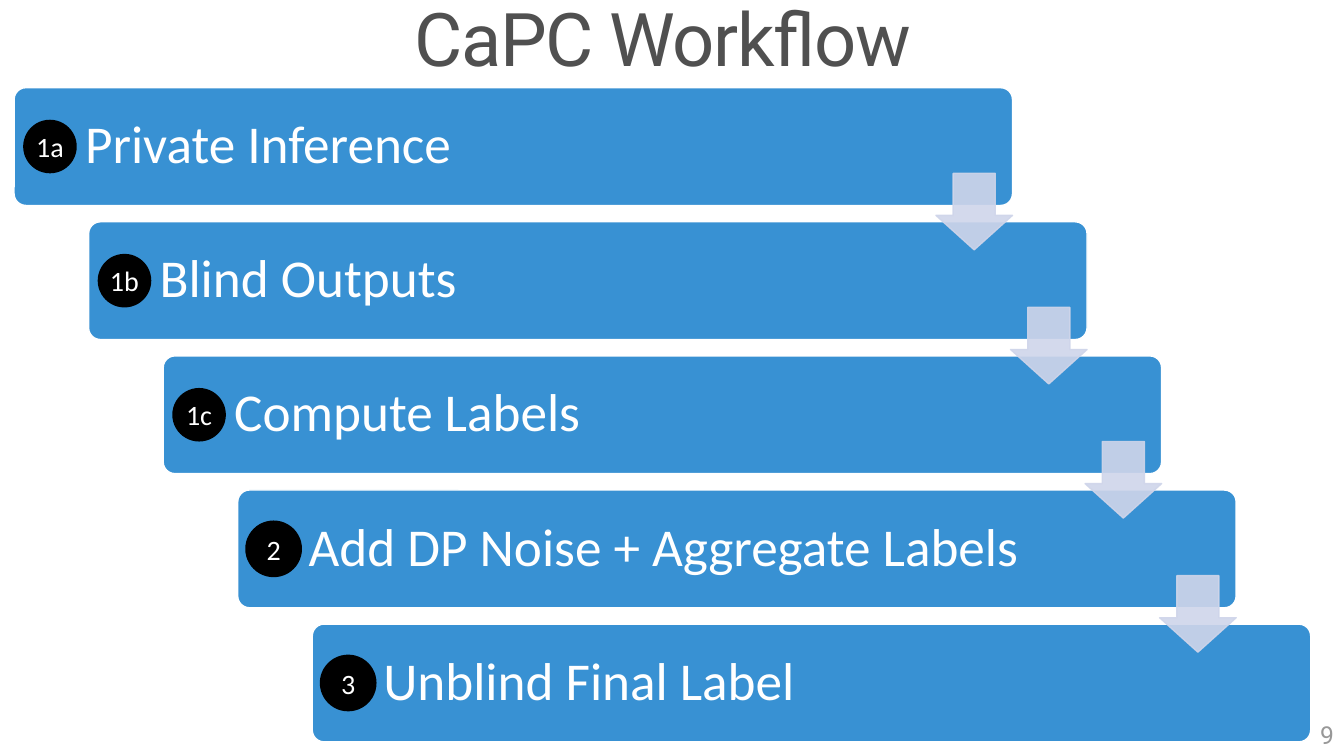
import pptx
import pptx.util
import pptx.dml.color
import pptx.enum.shapes
import pptx.enum.text
import lxml.etree

Inches = pptx.util.Inches
Pt = pptx.util.Pt
Color = pptx.dml.color.RGBColor
Shape = pptx.enum.shapes.MSO_SHAPE
Align = pptx.enum.text.PP_ALIGN
Anchor = pptx.enum.text.MSO_ANCHOR

BLUE = Color(0x38, 0x91, 0xD3)
PALE = Color(0xCF, 0xD5, 0xEA)
WHITE = Color(0xFF, 0xFF, 0xFF)
BLACK = Color(0, 0, 0)
DARK = Color(0x50, 0x50, 0x50)
GREY = Color(0x98, 0x98, 0x98)

WIDE, HIGH = 13.33, 7.5
STEPS = [
    ("1a", "Private Inference"),
    ("1b", "Blind Outputs"),
    ("1c", "Compute Labels"),
    ("2", "Add DP Noise + Aggregate Labels"),
    ("3", "Unblind Final Label"),
]


def write(frame, text, font, size, color, align, anchor):
    frame.text = text
    frame.vertical_anchor = anchor
    para = frame.paragraphs[0]
    para.alignment = align
    run = para.runs[0]
    run.font.name = font
    run.font.size = Pt(size)
    run.font.color.rgb = color
    return para


def draw(slide, kind, box, fill, line=None, weight=1):
    shape = slide.shapes.add_shape(kind, *map(Inches, box))
    shape.shadow.inherit = False
    shape.fill.solid()
    shape.fill.fore_color.rgb = fill
    if line is None:
        shape.line.fill.background()
    else:
        shape.line.color.rgb = line
        shape.line.width = Pt(weight)
    return shape


def fade(shape, share):
    """Make the fill and line of a shape partly transparent."""
    for color in shape._element.spPr.iter(pptx.oxml.ns.qn("a:srgbClr")):
        alpha = lxml.etree.SubElement(color, pptx.oxml.ns.qn("a:alpha"))
        alpha.set("val", str(share * 1000))


def add_title(slide, box, text):
    title = slide.shapes.title
    title.left, title.top, title.width, title.height = map(Inches, box)
    frame = title.text_frame
    frame.auto_size = pptx.enum.text.MSO_AUTO_SIZE.NONE
    frame.margin_right = Inches(0.28)
    para = write(frame, text, "Roboto", 52.9, DARK, Align.CENTER, Anchor.TOP)
    para.line_spacing = 0.9
    para.runs[0].font._element.set("spc", "-100")


def add_bar(slide, box, text):
    bar = draw(slide, Shape.ROUNDED_RECTANGLE, box, BLUE, WHITE)
    bar.adjustments[0] = 0.1
    bar.text_frame.margin_left = Inches(0.67)
    para = write(bar.text_frame, text, "Calibri", 38, WHITE,
                 Align.LEFT, Anchor.MIDDLE)
    para.line_spacing = 0.9


def add_arrow(slide, box):
    arrow = draw(slide, Shape.DOWN_ARROW, box, PALE, PALE)
    arrow.adjustments[0] = 0.45
    arrow.adjustments[1] = 0.55
    # The first value is the head length, the second the shaft width
    arrow.adjustments[0], arrow.adjustments[1] = 0.55, 0.45
    fade(arrow, 90)


def add_badge(slide, box, mark):
    line = BLACK if mark.isdigit() else None
    badge = draw(slide, Shape.OVAL, box, BLACK, line, 2.25)
    frame = badge.text_frame
    frame.word_wrap = False
    frame.margin_left = frame.margin_right = 0
    frame.margin_top = frame.margin_bottom = 0
    write(frame, mark, "Calibri", 20, WHITE, Align.CENTER, Anchor.MIDDLE)


def add_stairs(slide, box, steps):
    left, top, width, height = box
    long, tall = width * 0.77, height * 0.18
    across = (width - long) / (len(steps) - 1)
    down = (height - tall) / (len(steps) - 1)
    spots = [(left + i * across, top + i * down) for i in range(len(steps))]

    # Bars
    for (x, y), (mark, text) in zip(spots, steps):
        add_bar(slide, (x, y, long, tall), text)

    # Arrows from each bar to the next, flush with the bar's right end
    size = tall * 0.65
    for x, y in spots[:-1]:
        add_arrow(slide, (x + long - size, y + tall - 0.42 * size, size, size))

    # Round step marks
    disc = tall * 0.455
    for (x, y), (mark, text) in zip(spots, steps):
        add_badge(slide, (x + 0.09, y + (tall - disc) / 2, disc, disc), mark)


def add_number(slide, box, text):
    frame = slide.shapes.add_textbox(*map(Inches, box)).text_frame
    frame.word_wrap = True
    write(frame, text, "Roboto", 17.6, GREY, Align.RIGHT, Anchor.MIDDLE)


def main():
    deck = pptx.Presentation()
    deck.slide_width, deck.slide_height = Inches(WIDE), Inches(HIGH)
    slide = deck.slides.add_slide(deck.slide_layouts[5])
    add_title(slide, (0, -0.02, WIDE, 0.96), "CaPC Workflow")
    add_stairs(slide, (0.14, 0.87, 12.86, 6.49), STEPS)
    add_number(slide, (WIDE - 3, 7.09, 3, 0.4), "9")
    deck.save("out.pptx")


if __name__ == "__main__":
    main()
